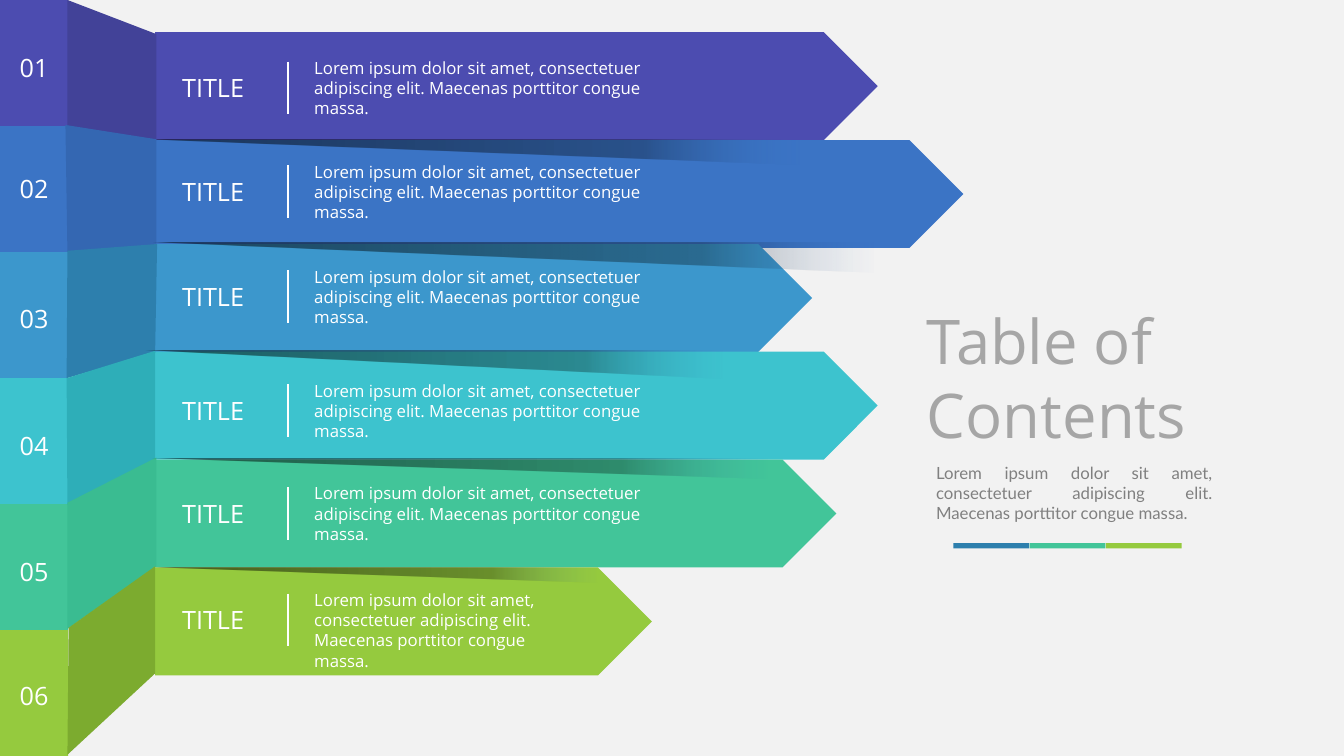
from dataclasses import dataclass

from pptx import Presentation
from pptx.dml.color import RGBColor
from pptx.enum.shapes import MSO_CONNECTOR, MSO_SHAPE
from pptx.enum.text import MSO_AUTO_SIZE, PP_ALIGN
from pptx.oxml import parse_xml
from pptx.oxml.ns import nsdecls, qn
from pptx.util import Cm, Pt

RECT = MSO_SHAPE.RECTANGLE
ARROW = MSO_SHAPE.PENTAGON
WEDGE = MSO_SHAPE.RIGHT_TRIANGLE
LINE = MSO_CONNECTOR.STRAIGHT
GROW = MSO_AUTO_SIZE.SHAPE_TO_FIT_TEXT
LEFT, CENTER, FULL = PP_ALIGN.LEFT, PP_ALIGN.CENTER, PP_ALIGN.JUSTIFY


@dataclass(frozen=True)
class Theme:
    back: str = "F2F2F2"
    white: str = "FFFFFF"
    black: str = "000000"
    head: str = "A6A6A6"
    note: str = "808080"
    hues: tuple = ("4C4CB0", "3B74C5", "3C97CC", "3DC3CE", "42C599", "95CA3E")
    darks: tuple = ("424298", "3467B2", "2D7FAD", "2EAEB8", "3ABC91", "7CAB2F")
    font: str = "Open Sans"
    plain: str = "Lato"
    big: int = 44
    mid: int = 18
    small: int = 12


LOREM = ("Lorem ipsum dolor sit amet, consectetuer adipiscing elit. "
         "Maecenas porttitor congue massa.")
WIDE, HIGH = 33.87, 19.05
TAB_W, TAB_H = 1.72, HIGH / 6
ARROW_X, ARROW_H = 3.91, 2.72

# arrow top, arrow width, number top, title top, text width, text height
ROWS = (
    (0.81, 18.21, 1.19, 1.7, 8.89, 1.8),
    (3.53, 20.37, 4.24, 4.32, 8.89, 1.8),
    (6.15, 16.56, 7.52, 6.96, 8.89, 1.8),
    (8.86, 18.21, 10.72, 9.83, 8.89, 1.8),
    (11.58, 17.17, 13.89, 12.42, 8.89, 1.8),
    (14.3, 12.52, 17.02, 15.11, 6.25, 2.31),
)
FOLDS = (
    ((1.7, 0), (3.94, 0.86), (3.94, 3.53), (1.7, 3.18)),
    ((1.65, 3.15), (3.94, 3.51), (3.94, 6.17), (1.7, 6.35)),
    ((1.7, 6.32), (3.96, 6.15), (3.91, 8.89), (1.68, 9.53)),
    ((1.68, 9.53), (3.91, 8.84), (3.91, 11.58), (1.7, 12.73)),
    ((1.7, 12.67), (3.94, 11.53), (3.94, 14.27), (1.7, 15.85)),
    ((1.73, 15.82), (3.91, 14.27), (3.91, 16.97), (1.7, 19.02)),
)
SHADES = (
    (3.61, 3.51, 16.56, 0.64),
    (3.84, 6.12, 18.21, 0.76),
    (3.68, 8.84, 14.55, 0.69),
    (3.81, 11.56, 15.57, 0.51),
    (3.91, 14.3, 11.15, 0.38),
)


class Pen:
    """Draws styled elements on the current slide or group."""

    def __init__(self, theme, slide):
        self.theme = theme
        self.slide = slide
        self.home = slide.shapes
        slide.background.fill.solid()
        slide.background.fill.fore_color.rgb = RGBColor.from_string(theme.back)

    def group(self):
        self.home = self.slide.shapes.add_group_shape().shapes

    def leave(self):
        self.home = self.slide.shapes

    def paint(self, shape, color):
        shape.shadow.inherit = False
        shape.fill.solid()
        shape.fill.fore_color.rgb = RGBColor.from_string(color)
        shape.line.fill.background()

    def shape(self, kind, x, y, w, h, color):
        shape = self.home.add_shape(kind, Cm(x), Cm(y), Cm(w), Cm(h))
        self.paint(shape, color)
        return shape

    def fold(self, points, color):
        spots = [(Cm(x), Cm(y)) for x, y in points]
        form = self.home.build_freeform(*spots[0])
        form.add_line_segments(spots[1:], close=True)
        self.paint(form.convert_to_shape(), color)

    def shade(self, x, y, w, h):
        theme = self.theme
        props = self.shape(WEDGE, x, y, w, h, theme.black)._element.spPr
        frame = props.find(qn("a:xfrm"))
        frame.set("flipH", "1")
        frame.set("flipV", "1")
        stops = "".join(
            f'<a:gs pos="{spot * 1000}"><a:srgbClr val="{color}">'
            f'<a:alpha val="{alpha * 1000}"/></a:srgbClr></a:gs>'
            for spot, color, alpha in (
                (1, theme.black, 54), (76, theme.black, 29), (100, theme.hues[1], 0)))
        blend = parse_xml(
            f'<a:gradFill {nsdecls("a")} rotWithShape="1"><a:gsLst>{stops}</a:gsLst>'
            '<a:lin ang="10800000" scaled="0"/></a:gradFill>')
        props.replace(props.find(qn("a:solidFill")), blend)

    def text(self, words, x, y, w, h, size, color, font=None, align=LEFT):
        frame = self.home.add_textbox(Cm(x), Cm(y), Cm(w), Cm(h)).text_frame
        frame.word_wrap = True
        frame.auto_size = GROW
        para = frame.paragraphs[0]
        para.alignment = align
        run = para.add_run()
        run.text = words
        run.font.size = Pt(size)
        run.font.name = font or self.theme.font
        run.font.color.rgb = RGBColor.from_string(color)

    def rule(self, x, y, size):
        line = self.home.add_connector(LINE, Cm(x), Cm(y), Cm(x), Cm(y + size))
        line.line.color.rgb = RGBColor.from_string(self.theme.white)
        line.line.width = Pt(1.5)
        props = line._element.spPr
        props.append(props.makeelement(qn("a:effectLst"), {}))


def main():
    theme = Theme()
    deck = Presentation()
    deck.slide_width, deck.slide_height = Cm(WIDE), Cm(HIGH)
    pen = Pen(theme, deck.slides.add_slide(deck.slide_layouts[6]))

    for i, (row, hue) in enumerate(zip(ROWS, theme.hues)):
        pen.shape(RECT, 0, i * TAB_H, TAB_W, TAB_H, hue)
        pen.shape(ARROW, ARROW_X, row[0], row[1], ARROW_H, hue)
    pen.shade(*SHADES[0])
    for points, dark in zip(FOLDS, theme.darks):
        pen.fold(points, dark)
    for shade in SHADES[1:]:
        pen.shade(*shade)

    for i, (_, _, mark, top, wide, high) in enumerate(ROWS, 1):
        pen.text(f"{i:02}", 0.1, mark, 1.52, 1.02, theme.mid, theme.white, align=CENTER)
        pen.group()
        pen.text("TITLE", 4.34, top, 2.74, 1.02, theme.mid, theme.white)
        pen.text(LOREM, 7.67, top - 0.37, wide, high, theme.small, theme.white)
        pen.rule(7.26, top - 0.15, 1.33)
        pen.leave()

    pen.text("Table of Contents", 23.11, 7.52, 9.17, 4.01, theme.big, theme.head)
    pen.text(LOREM, 23.34, 11.53, 7.47, 1.8, theme.small, theme.note, theme.plain, FULL)
    pen.group()
    for i, color in enumerate((theme.darks[2], theme.hues[4], theme.hues[5])):
        pen.shape(RECT, 24.03 + i * 1.92, 13.69, 1.91, 0.13, color)

    deck.save("out.pptx")


if __name__ == "__main__":
    main()
